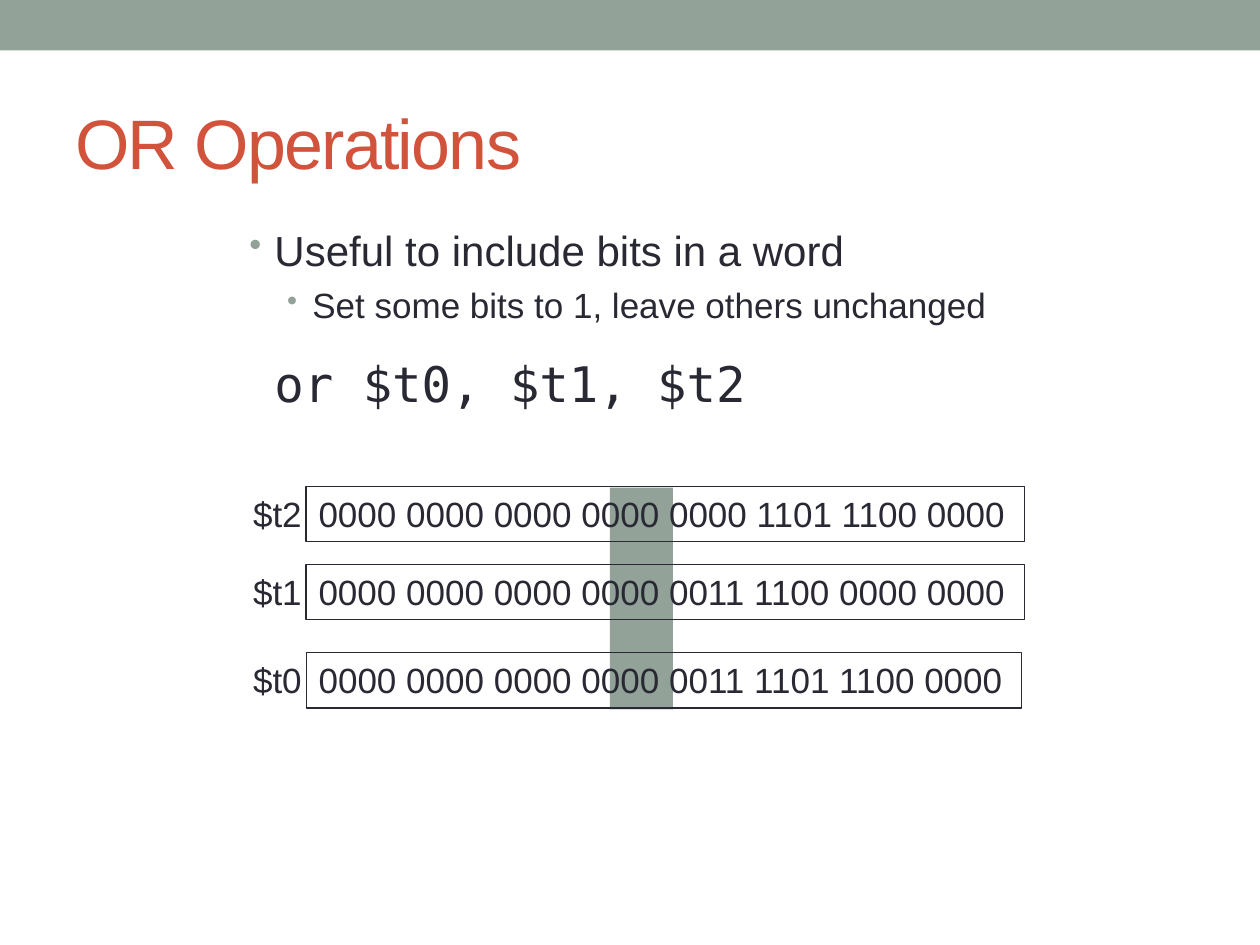
import pptx
import pptx.util
import pptx.dml.color
import pptx.enum.shapes
import pptx.enum.text
import lxml.etree

Inches, Pt = pptx.util.Inches, pptx.util.Pt
SAGE, INK, RUST = "93A299", "292934", "D2533C"
SANS, MONO = "Arial", "DejaVu Sans Mono"


def paint(form, color):
    """Give a fill or a font a solid hex colour."""
    if hasattr(form, "solid"):
        form.solid()
        form = form.fore_color
    else:
        form = form.color
    form.rgb = pptx.dml.color.RGBColor.from_string(color)


def style(para, size, color=INK, name=SANS):
    """Set the font of a whole paragraph."""
    para.font.size, para.font.name = Pt(size), name
    paint(para.font, color)


def block(slide, left, top, width, height, fill=None):
    """Add a rectangle without shadow, with a fill or a thin outline."""
    shape = slide.shapes.add_shape(
        pptx.enum.shapes.MSO_SHAPE.RECTANGLE,
        Inches(left), Inches(top), Inches(width), Inches(height))
    shape.shadow.inherit = False
    if fill:
        paint(shape.fill, fill)
        shape.line.fill.background()
    else:
        shape.fill.background()
        paint(shape.line.fill, INK)
        shape.line.width = Pt(0.75)
    return shape


def textbox(slide, left, top, width, height):
    """Add a wrapping text box and return its frame."""
    frame = slide.shapes.add_textbox(
        Inches(left), Inches(top), Inches(width), Inches(height)).text_frame
    frame.word_wrap = True
    return frame


def heading(slide, left, top, width, height):
    """Place the slide title."""
    frame = textbox(slide, left, top, width, height)
    frame.vertical_anchor = pptx.enum.text.MSO_ANCHOR.MIDDLE
    para = frame.paragraphs[0]
    run = para.add_run()
    run.text = "OR Operations"
    style(para, 40, RUST)
    run.font._element.set("spc", "-100")


def indent(para, margin, bullet):
    """Set the left margin and, if asked, a hanging bullet."""
    props = para._p.get_or_add_pPr()
    props.set("marL", str(Inches(margin)))
    props.set("indent", str(Inches(-0.2 if bullet else 0)))
    if bullet:
        tint = pptx.oxml.ns.qn("a:buClr")
        color = lxml.etree.Element(tint)
        lxml.etree.SubElement(color, pptx.oxml.ns.qn("a:srgbClr"), val=SAGE)
        size = lxml.etree.Element(pptx.oxml.ns.qn("a:buSzPct"), val="85000")
        mark = lxml.etree.Element(pptx.oxml.ns.qn("a:buChar"), char="•")
        rest = props.find(pptx.oxml.ns.qn("a:defRPr"))
        for item in (color, size, mark):
            rest.addprevious(item)


def body(slide, left, top, width, height):
    """Place the bullets and the line of code."""
    frame = textbox(slide, left, top, width, height)
    lines = [
        ("Useful to include bits in a word", 24, SANS, 0.2, True, 5),
        ("Set some bits to 1, leave others unchanged", 20, SANS, 0.5, True, 5),
        ("or $t0, $t1, $t2", 28, MONO, 0.2, False, 16),
    ]
    for i, (text, size, name, margin, bullet, gap) in enumerate(lines):
        para = frame.add_paragraph() if i else frame.paragraphs[0]
        para.text = text
        para.space_before = Pt(gap)
        style(para, size, INK, name)
        indent(para, margin, bullet)


def label(frame, text):
    """Write one unwrapped line that sizes its shape."""
    frame.word_wrap = False
    frame.auto_size = pptx.enum.text.MSO_AUTO_SIZE.SHAPE_TO_FIT_TEXT
    frame.vertical_anchor = pptx.enum.text.MSO_ANCHOR.TOP
    para = frame.paragraphs[0]
    para.text = text
    para.alignment = pptx.enum.text.PP_ALIGN.LEFT
    style(para, 20)


def bits(slide, left, top):
    """Place the three registers over the band that marks a bit group."""
    block(slide, left + 2.93, top + 0.01, 0.5, 1.76, SAGE)
    rows = [
        ("$t2", "0000 0000 0000 0000 0000 1101 1100 0000", 0, 5.7),
        ("$t1", "0000 0000 0000 0000 0011 1100 0000 0000", 0.62, 5.7),
        ("$t0", "0000 0000 0000 0000 0011 1101 1100 0000", 1.32, 5.68),
    ]
    for name, word, drop, width in rows:
        cell = block(slide, left + 0.52, top + drop, width, 0.44)
        label(cell.text_frame, word)
        label(textbox(slide, left, top + drop, 0.59, 0.44), name)


def main():
    """Build and save the slide."""
    deck = pptx.Presentation()
    deck.slide_width, deck.slide_height = Inches(10), Inches(7.5)
    slide = deck.slides.add_slide(deck.slide_layouts[6])
    block(slide, 0, 0, 10, 0.4, SAGE)
    heading(slide, 0.5, 0.58, 9, 1.08)
    body(slide, 1.88, 1.73, 6.78, 2.27)
    bits(slide, 1.91, 3.86)
    deck.save("out.pptx")


if __name__ == "__main__":
    main()
